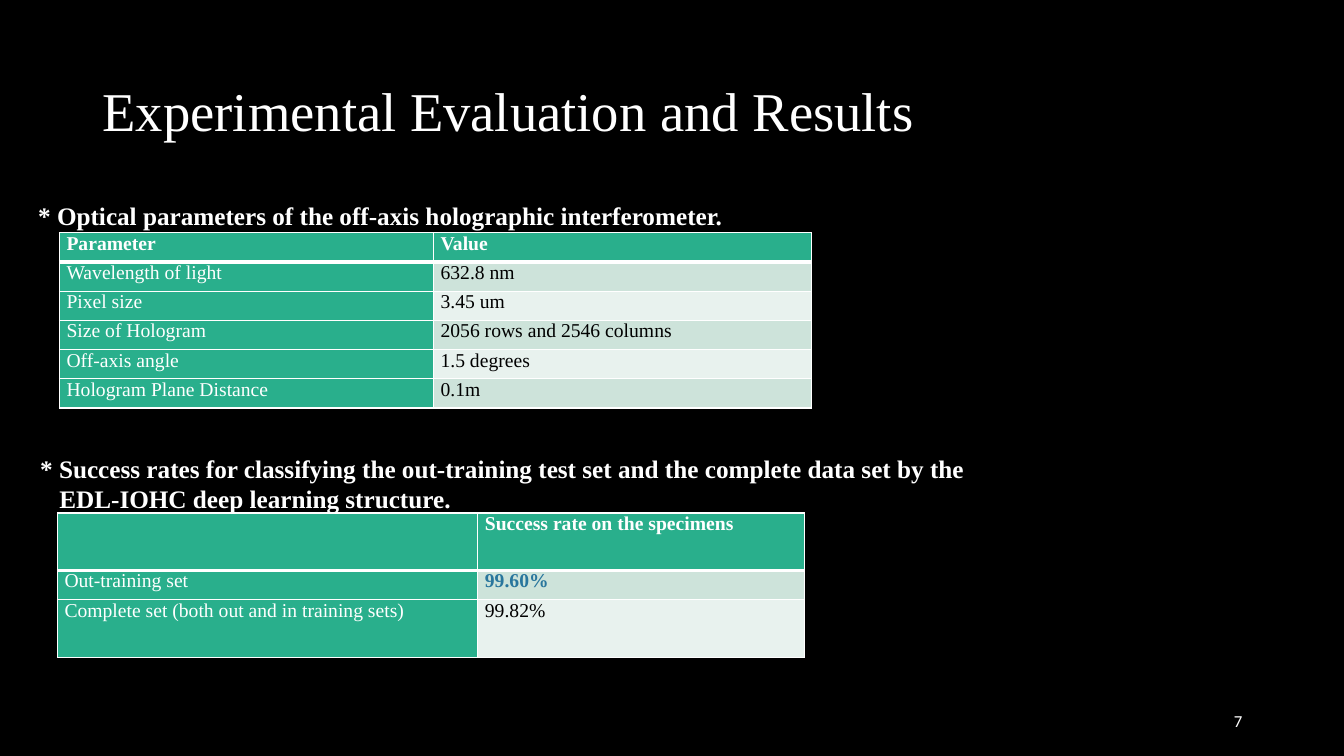
"""Build the slide on experimental evaluation and results."""
from lxml.etree import SubElement
from pptx import Presentation
from pptx.dml.color import RGBColor
from pptx.enum.text import MSO_ANCHOR, PP_ALIGN
from pptx.oxml.ns import qn
from pptx.util import Inches, Pt

SERIF = "Times New Roman"
WHITE, BLACK, GREEN, BLUE = "FFFFFF", "000000", "29AF8C", "29769D"
BANDS = ("CDE3DA", "E8F2EE")

TITLE = ["Experimental Evaluation and Results"]
OPTICS_HEADING = ["* Optical parameters of the off-axis holographic interferometer."]
SUCCESS_HEADING = [
    "* Success rates for classifying the out-training test set and the complete data set by the",
    "EDL-IOHC deep learning structure.",
]
OPTICS = [
    ("Parameter", "Value"),
    ("Wavelength of light", "632.8 nm"),
    ("Pixel size", "3.45 um"),
    ("Size of Hologram", "2056 rows and 2546 columns"),
    ("Off-axis angle", "1.5 degrees"),
    ("Hologram Plane Distance", "0.1m"),
]
SUCCESS = [
    ("", "Success rate on the specimens"),
    ("Out-training set", "99.60%"),
    ("Complete set (both out and in training sets)", "99.82%"),
]
HIGHLIGHT = "99.60%"


def color(value):
    return RGBColor.from_string(value)


def style(font, size, name=SERIF, fill=WHITE, bold=False):
    font.size, font.name, font.bold = Pt(size), name, bold
    font.color.rgb = color(fill)


def add_text(page, frame, lines, size, name=SERIF, bold=False,
             align=PP_ALIGN.LEFT, spacing=1.0, indent=0):
    box = page.shapes.add_textbox(*map(Inches, frame))
    text = box.text_frame
    text.word_wrap = True
    text.vertical_anchor = MSO_ANCHOR.MIDDLE
    text.text = "\n".join(lines)
    for index, para in enumerate(text.paragraphs):
        para.alignment = align
        para.line_spacing = spacing
        if index:
            para._p.get_or_add_pPr().set("marL", str(Inches(indent)))
        for span in para.runs:
            style(span.font, size, name, bold=bold)


def add_borders(cell, widths):
    properties = cell._tc.get_or_add_tcPr()
    for side, width in zip("LRTB", widths):
        line = SubElement(properties, qn(f"a:ln{side}"), w=str(Pt(width)))
        fill = SubElement(line, qn("a:solidFill"))
        SubElement(fill, qn("a:srgbClr"), val=WHITE)


def add_grid(page, left, top, columns, heights, rows):
    table = page.shapes.add_table(
        len(rows), len(columns), Inches(left), Inches(top),
        Inches(sum(columns)), Inches(sum(heights))).table
    for column, width in zip(table.columns, columns):
        column.width = Inches(width)
    for r, (values, height) in enumerate(zip(rows, heights)):
        table.rows[r].height = Inches(height)
        for c, value in enumerate(values):
            cell = table.cell(r, c)
            add_borders(cell, (1, 1, 3 if r == 1 else 1, 3 if r == 0 else 1))
            label = r == 0 or c == 0
            cell.fill.solid()
            cell.fill.fore_color.rgb = color(GREEN if label else BANDS[(r - 1) % 2])
            cell.margin_left = cell.margin_right = Inches(0.07)
            cell.margin_top = cell.margin_bottom = 0
            cell.text = value
            para = cell.text_frame.paragraphs[0]
            para.alignment = PP_ALIGN.JUSTIFY
            marked = value == HIGHLIGHT
            ink = WHITE if label else BLUE if marked else BLACK
            for span in para.runs:
                style(span.font, 14, fill=ink, bold=r == 0 or marked)


def main():
    deck = Presentation()
    deck.slide_width, deck.slide_height = Inches(13.33), Inches(7.5)
    page = deck.slides.add_slide(deck.slide_layouts[6])
    page.background.fill.solid()
    page.background.fill.fore_color.rgb = color(BLACK)

    add_text(page, (0.92, 0.4, 11.5, 1.45), TITLE, 39, spacing=0.9)
    add_grid(page, 0.59, 2.31, (3.71, 3.75), [0.29] * len(OPTICS), OPTICS)
    add_text(page, (0.28, 1.94, 7.05, 0.4), OPTICS_HEADING, 18, bold=True)
    add_grid(page, 0.57, 5.09, (4.17, 3.24), (0.57, 0.29, 0.57), SUCCESS)
    add_text(page, (0.3, 4.44, 9.99, 0.71), SUCCESS_HEADING, 18, bold=True, indent=0.19)
    add_text(page, (9.42, 6.95, 3, 0.4), ["7"], 12, "Calibri", align=PP_ALIGN.RIGHT)
    deck.save("out.pptx")


if __name__ == "__main__":
    main()
